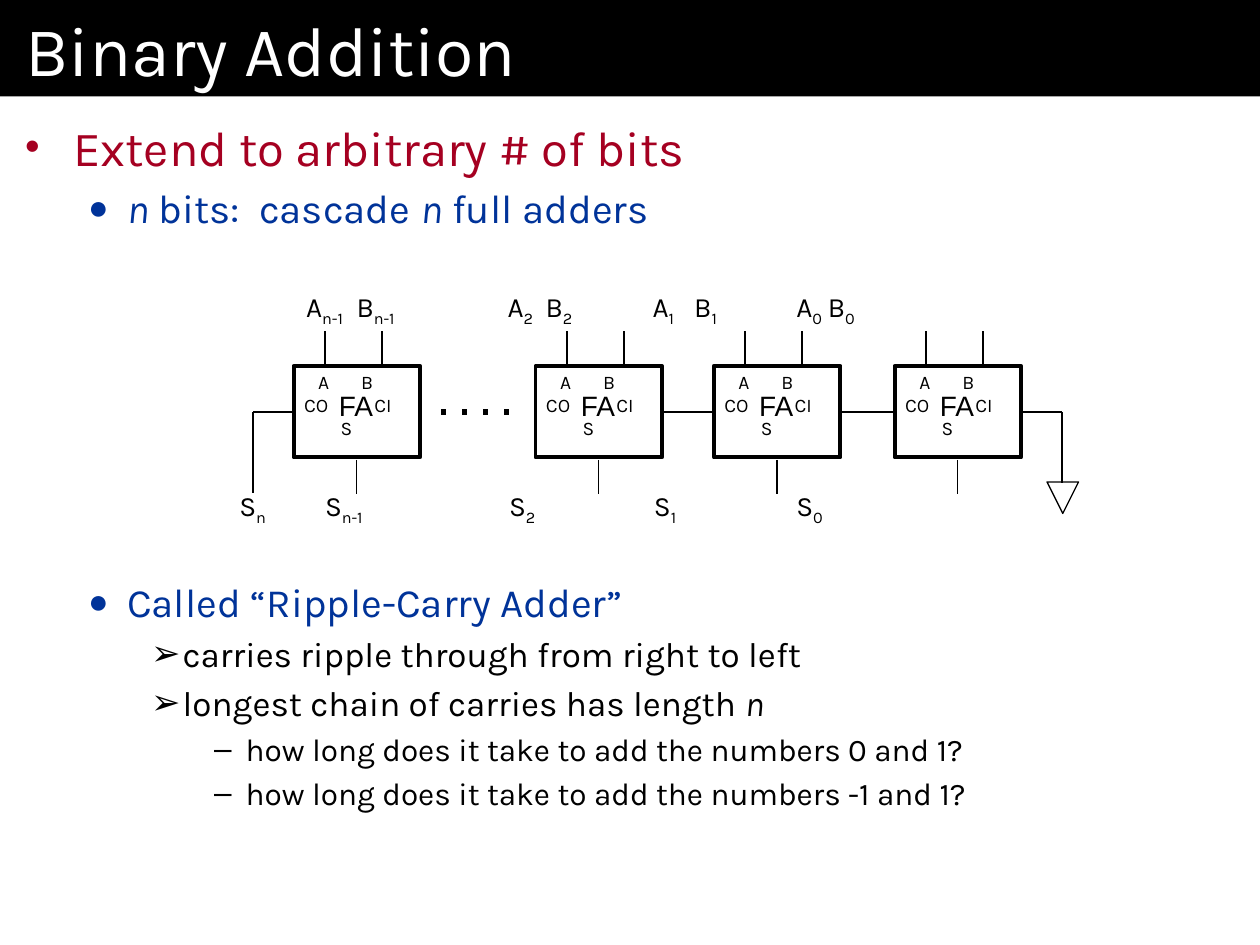
from lxml.etree import SubElement
from pptx import Presentation
from pptx.dml.color import RGBColor
from pptx.enum.shapes import MSO_CONNECTOR, MSO_SHAPE
from pptx.enum.text import MSO_ANCHOR, PP_ALIGN
from pptx.oxml.ns import qn
from pptx.util import Inches, Pt

BLACK = RGBColor(0x00, 0x00, 0x00)
WHITE = RGBColor(0xFF, 0xFF, 0xFF)
RED = RGBColor(0xA5, 0x00, 0x21)
BLUE = RGBColor(0x00, 0x33, 0x99)

COLS, ROWS = 100, 75
BOX_W, BOX_H, BOX_TOP = 10.05, 7.25, 29.05
WIRE_ROW = 32.7
ADDER_COLS = [23.3, 42.5, 56.65, 71]
INPUTS = [("A", "n-1", 24.3), ("B", "n-1", 28.3), ("A", "2", 40.3), ("B", "2", 43.3),
          ("A", "1", 51.8), ("B", "1", 55.1), ("A", "0", 63.2), ("B", "0", 65.7)]
SUMS = [("n", 19), ("n-1", 25.8), ("2", 40.4), ("1", 51.9), ("0", 63.2)]
PORTS = [("A", 2.4, 1.25), ("B", 5.85, 1.25), ("CO", 1.8, 3.05), ("CI", 7.1, 3.05), ("S", 4.2, 4.9)]
LEVELS = [
    dict(size=28, color=RED, left=0.38, hang=0.38, bullet="•", pct=85),
    dict(size=23, color=BLUE, left=0.81, hang=0.31, bullet="●", pct=85),
    dict(size=20, color=BLACK, left=1.25, hang=0.25, bullet="➢", pct=100),
    dict(size=18, color=BLACK, left=1.75, hang=0.25, bullet="–", pct=100),
]
OUTLINE = [
    (0, "Extend to arbitrary # of bits", 0),
    (1, "*n* bits:  cascade *n* full adders", 4.3),
    (1, "Called “Ripple-Carry Adder”", 197.4),
    (2, "carries ripple through from right to left", 4),
    (2, "longest chain of carries has length *n*", 4),
    (3, "how long does it take to add the numbers 0 and 1?", 3.6),
    (3, "how long does it take to add the numbers -1 and 1?", 3.6),
]


def grid(*cells):
    return [Inches(c / 10) for c in cells]


def write(p, text, size=16, color=BLACK, font="Karla", sub=""):
    parts = [(t, i % 2 == 1, False) for i, t in enumerate(text.split("*"))]
    for t, italic, low in parts + [(sub, False, True)]:
        if not t:
            continue
        r = p.add_run()
        r.text = t
        r.font.size, r.font.name, r.font.color.rgb = Pt(size), font, color
        if italic:
            r.font.italic = True
        if low:
            r.font._element.set("baseline", "-25000")


def set_frame(tf, x=0, y=0, wrap=True):
    tf.margin_left = tf.margin_right = Inches(x)
    tf.margin_top = tf.margin_bottom = Inches(y)
    tf.word_wrap = wrap
    tf.vertical_anchor = MSO_ANCHOR.TOP


def add_label(s, text, x, y, w, h, align=PP_ALIGN.LEFT, **style):
    tf = s.shapes.add_textbox(*grid(x, y, w, h)).text_frame
    set_frame(tf, wrap=False)
    tf.paragraphs[0].alignment = align
    write(tf.paragraphs[0], text, **style)


def add_outlined(s, kind, x, y, w, h, width):
    sp = s.shapes.add_shape(kind, *grid(x, y, w, h))
    sp.shadow.inherit = False
    sp.fill.background()
    sp.line.color.rgb, sp.line.width = BLACK, Pt(width)
    return sp


def add_wire(s, x1, y1, x2, y2, width=1, dash=None):
    c = s.shapes.add_connector(MSO_CONNECTOR.STRAIGHT, *grid(x1, y1, x2, y2))
    c.line.color.rgb, c.line.width = BLACK, Pt(width)
    pr = c._element.spPr
    if dash:
        SubElement(pr.find(qn("a:ln")), qn("a:prstDash")).set("val", dash)
    SubElement(pr, qn("a:effectLst"))


def add_title(s, text):
    sp = s.shapes.add_shape(MSO_SHAPE.RECTANGLE, *grid(0, 0, COLS, 7.65))
    sp.shadow.inherit = False
    sp.fill.solid()
    sp.fill.fore_color.rgb = BLACK
    sp.line.fill.background()
    set_frame(sp.text_frame, 0.2, 0.05)
    p = sp.text_frame.paragraphs[0]
    p.alignment = PP_ALIGN.LEFT
    write(p, text, size=40, color=WHITE)


def set_bullet(p, left, hang, bullet, pct, color):
    pr = p._p.get_or_add_pPr()
    pr.set("marL", str(Inches(left)))
    pr.set("indent", str(-Inches(hang)))
    clr = SubElement(pr, qn("a:buClr"))
    SubElement(clr, qn("a:srgbClr")).set("val", str(color))
    SubElement(pr, qn("a:buSzPct")).set("val", str(pct * 1000))
    SubElement(pr, qn("a:buFont")).set("typeface", "Arial")
    SubElement(pr, qn("a:buChar")).set("char", bullet)


def add_outline(s):
    tf = s.shapes.add_textbox(*grid(0, 7.7, COLS, ROWS - 7.7)).text_frame
    set_frame(tf, 0.2, 0.16)
    for i, (level, text, before) in enumerate(OUTLINE):
        p = tf.add_paragraph() if i else tf.paragraphs[0]
        style = dict(LEVELS[level])
        size = style.pop("size")
        set_bullet(p, **style)
        p.level = level
        p.space_before = Pt(before)
        write(p, text, size=size, color=style["color"])


def add_adder(s, x):
    add_outlined(s, MSO_SHAPE.RECTANGLE, x, BOX_TOP, BOX_W, BOX_H, 2.25)
    for text, dx, dy in PORTS:
        add_label(s, text, x + dx - 1.5, BOX_TOP + dy - 0.9, 3, 1.8, PP_ALIGN.CENTER, size=11)
    add_label(s, "FA", x + 3.6, BOX_TOP + 1.8, 3.5, 2.5, font="Arial")
    for dx in (2.5, 7):
        add_wire(s, x + dx, 26.3, x + dx, BOX_TOP)
    add_wire(s, x + 5, 36.5, x + 5, 39.2)


def add_carries(s):
    first, *rest = ADDER_COLS
    add_wire(s, first - 3.2, WIRE_ROW, first, WIRE_ROW)
    add_wire(s, first - 3.2, WIRE_ROW, first - 3.2, 39.1)
    add_wire(s, 35, WIRE_ROW, 40.8, WIRE_ROW, width=3, dash="dot")
    for x, after in zip(rest, rest[1:] + [84.3]):
        add_wire(s, x + BOX_W, WIRE_ROW, after, WIRE_ROW)
    add_wire(s, 84.3, WIRE_ROW, 84.3, 38.3)
    sp = add_outlined(s, MSO_SHAPE.ISOSCELES_TRIANGLE, 83.1, 38.25, 2.5, 2.5, 0.75)
    sp._element.spPr.xfrm.set("flipV", "1")


def main():
    prs = Presentation()
    prs.slide_width, prs.slide_height = grid(COLS, ROWS)
    s = prs.slides.add_slide(prs.slide_layouts[6])
    add_title(s, "Binary Addition")
    add_outline(s)
    for text, sub, x in INPUTS:
        add_label(s, text, x, 23, 4, 2.7, sub=sub)
    for sub, x in SUMS:
        add_label(s, "S", x, 38.8, 4, 2.7, sub=sub)
    for x in ADDER_COLS:
        add_adder(s, x)
    add_carries(s)
    prs.save("out.pptx")


if __name__ == "__main__":
    main()
